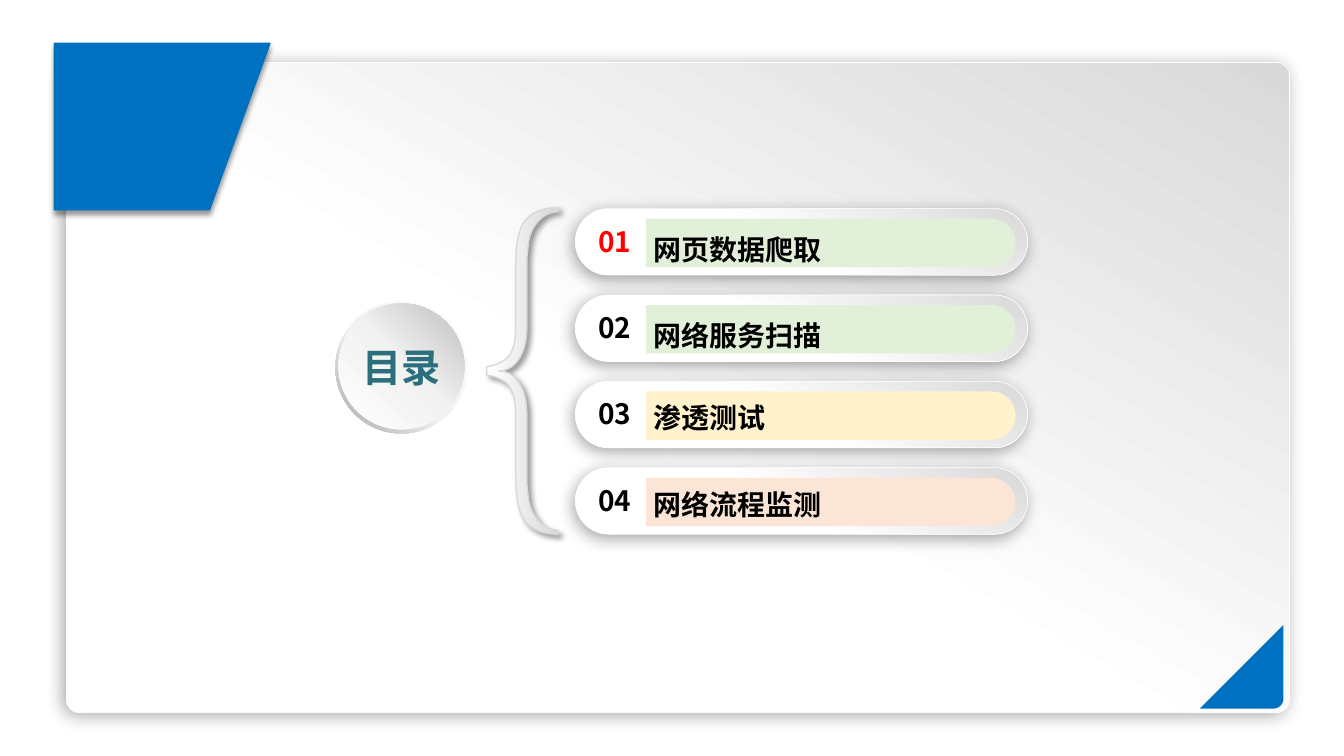
from lxml import etree
from pptx import Presentation
from pptx.dml.color import RGBColor
from pptx.enum.shapes import MSO_SHAPE
from pptx.enum.text import MSO_ANCHOR, PP_ALIGN
from pptx.oxml.ns import qn
from pptx.util import Inches, Pt

ROUNDED = MSO_SHAPE.ROUNDED_RECTANGLE
ROUND_TOP = MSO_SHAPE.ROUND_2_SAME_RECTANGLE
DONUT = MSO_SHAPE.DONUT
OVAL = MSO_SHAPE.OVAL
MIDDLE = MSO_ANCHOR.MIDDLE
LEFT = PP_ALIGN.LEFT
CENTER = PP_ALIGN.CENTER

WHITE = RGBColor(0xFF, 0xFF, 0xFF)
BLACK = RGBColor(0x00, 0x00, 0x00)
RED = RGBColor(0xFF, 0x00, 0x00)
BLUE = RGBColor(0x00, 0x70, 0xC0)
TEAL = RGBColor(0x2B, 0x6F, 0x7D)
PALE_GREEN = RGBColor(0xE2, 0xF0, 0xD9)
PALE_YELLOW = RGBColor(0xFF, 0xF2, 0xCC)
PALE_ORANGE = RGBColor(0xFB, 0xE5, 0xD6)
OFF_WHITE = RGBColor(0xF2, 0xF2, 0xF2)
LIGHT_GRAY = RGBColor(0xD9, 0xD9, 0xD9)
MID_GRAY = RGBColor(0xBF, 0xBF, 0xBF)
DARK_GRAY = RGBColor(0xA6, 0xA6, 0xA6)

FONT = "Noto Sans CJK SC"
RAISED_FILL = ((45, WHITE), (100, LIGHT_GRAY))
RAISED_SHADOW = (34, 12, 3, 135)
CURVE_STEPS = 12

ENTRIES = [
    ("01", "网页数据爬取", RED, PALE_GREEN, 0.17),
    ("02", "网络服务扫描", BLACK, PALE_GREEN, 0.17),
    ("03", "渗透测试", BLACK, PALE_YELLOW, 0.13),
    ("04", "网络流程监测", BLACK, PALE_ORANGE, 0.13),
]


def set_gradient(shape, stops, angle):
    shape.fill.gradient()
    shape.fill.gradient_angle = 360 - angle
    stop_list = next(shape.element.iter(qn("a:gsLst")))
    for stop in list(stop_list):
        stop_list.remove(stop)
    for position, color in stops:
        stop = etree.SubElement(stop_list, qn("a:gs"), pos=str(position * 1000))
        etree.SubElement(stop, qn("a:srgbClr"), val=str(color))


def set_shadow(shape, opacity, blur, distance, direction):
    effects = next(shape.element.iter(qn("a:effectLst")))
    shadow = etree.SubElement(
        effects, qn("a:outerShdw"), blurRad=str(Pt(blur)), dist=str(Pt(distance)),
        dir=str(direction * 60000), algn="ctr", rotWithShape="0")
    color = etree.SubElement(shadow, qn("a:srgbClr"), val=str(BLACK))
    etree.SubElement(color, qn("a:alpha"), val=str(opacity * 1000))


def style_shape(shape, fill=None, stops=None, angle=0, line=None, line_width=1, shadow=None):
    shape.shadow.inherit = False
    if stops:
        set_gradient(shape, stops, angle)
    else:
        shape.fill.solid()
        shape.fill.fore_color.rgb = fill
    if line is None:
        shape.line.fill.background()
    else:
        shape.line.color.rgb = line
        shape.line.width = Pt(line_width)
    if shadow:
        set_shadow(shape, *shadow)


def add_preset(slide, kind, left, top, width, height, adjustment=None, **style):
    shape = slide.shapes.add_shape(
        kind, Inches(left), Inches(top), Inches(width), Inches(height))
    if adjustment is not None:
        shape.adjustments[0] = adjustment
    style_shape(shape, **style)
    return shape


def flatten(segments):
    points = [segments[0]]
    for segment in segments[1:]:
        if len(segment) == 2:
            points.append(segment)
            continue
        controls = [points[-1], segment[:2], segment[2:4], segment[4:]]
        for step in range(1, CURVE_STEPS + 1):
            t = step / CURVE_STEPS
            weights = ((1 - t) ** 3, 3 * t * (1 - t) ** 2, 3 * t * t * (1 - t), t ** 3)
            points.append(tuple(
                sum(weight * control[axis] for weight, control in zip(weights, controls))
                for axis in (0, 1)))
    return points


def add_outline(slide, left, top, points, **style):
    corners = [(Inches(left + x), Inches(top + y)) for x, y in points]
    builder = slide.shapes.build_freeform(*corners[0], scale=1.0)
    builder.add_line_segments(corners[1:], close=True)
    style_shape(builder.convert_to_shape(), **style)


def write_text(shape, text, size, color, align=LEFT, margins=(0.1, 0.05), wrap=False):
    frame = shape.text_frame
    frame.word_wrap = wrap
    frame.vertical_anchor = MIDDLE
    frame.margin_left = frame.margin_right = Inches(margins[0])
    frame.margin_top = frame.margin_bottom = Inches(margins[1])
    paragraph = frame.paragraphs[0]
    paragraph.alignment = align
    run = paragraph.add_run()
    run.text = text
    run.font.size = Pt(size)
    run.font.bold = True
    run.font.name = FONT
    run.font.color.rgb = color
    etree.SubElement(run.font._element, qn("a:ea"), typeface=FONT)


def add_label(slide, text, left, top, width, height, color):
    box = slide.shapes.add_textbox(
        Inches(left), Inches(top), Inches(width), Inches(height))
    write_text(box, text, 20, color)


def draw_backdrop(slide, left, top, width, height):
    add_preset(slide, ROUNDED, left, top, width, height, 0.02, stops=RAISED_FILL,
               angle=300, line=WHITE, line_width=0.5, shadow=RAISED_SHADOW)
    corner = [(0.83, 0), (0.83, 0.73), (0.83, 0.78, 0.79, 0.83, 0.73, 0.83), (0, 0.83)]
    add_outline(slide, left + width - 0.89, top + height - 0.87, flatten(corner), fill=BLUE)
    flag = [(0, 0), (2.14, 0), (1.54, 1.65), (0, 1.65)]
    add_outline(slide, left - 0.12, top - 0.19, flag, fill=BLUE, line=BLUE,
                shadow=(40, 4, 3, 90))


def draw_entries(slide, left, top, width, height):
    bar_height, band_height, band_width = 0.66, 0.48, 3.67
    pitch = (height - bar_height) / (len(ENTRIES) - 1)
    for index, (number, label, color, band_color, label_offset) in enumerate(ENTRIES):
        row = top + index * pitch
        add_preset(slide, ROUNDED, left, row, width, bar_height, 0.5, stops=RAISED_FILL,
                   angle=300, line=WHITE, line_width=0.5, shadow=RAISED_SHADOW)
        band_center = left + 0.7 + band_width / 2
        band_middle = row + 0.1 + band_height / 2
        band = add_preset(slide, ROUND_TOP, band_center - band_height / 2,
                          band_middle - band_width / 2, band_height, band_width, 0.5,
                          fill=band_color)
        band.rotation = 90
        add_label(slide, number, left + 0.13, row + 0.1, 0.55, 0.44, color)
        add_label(slide, label, left + 0.68, row + label_offset, 1.87, 0.46, BLACK)


def draw_title_disc(slide, left, top, size):
    add_preset(slide, DONUT, left, top, size, size, 0.05, angle=135,
               stops=((0, WHITE), (55, OFF_WHITE), (100, DARK_GRAY)))
    add_preset(slide, OVAL, left + 0.03, top + 0.02, size - 0.06, size - 0.06, angle=315,
               stops=((0, WHITE), (51, OFF_WHITE), (100, MID_GRAY)))
    title = slide.shapes.title
    title.left, title.top = Inches(left - 0.03), Inches(top + 0.41)
    title.width, title.height = Inches(1.38), Inches(0.47)
    write_text(title, "目录", 28, TEAL, align=CENTER, margins=(0, 0), wrap=True)
    slide.shapes.element.append(title.element)


def draw_brace(slide, left, top, height):
    upper_half = flatten([
        (0, 1.58), (0.11, 1.56, 0.19, 1.52, 0.23, 1.46),
        (0.27, 1.4, 0.29, 1.31, 0.29, 1.17), (0.29, 0.56),
        (0.29, 0.35, 0.32, 0.2, 0.39, 0.12), (0.46, 0.04, 0.57, 0, 0.71, 0),
        (0.71, 0.04), (0.55, 0.04, 0.42, 0.2, 0.41, 0.4), (0.4, 0.5), (0.4, 1.2),
        (0.4, 1.39, 0.32, 1.62, 0.12, 1.62),
    ])
    lower_half = [(x, height - y) for x, y in reversed(upper_half)]
    add_outline(slide, left, top, upper_half + lower_half, angle=360,
                stops=((0, WHITE), (100, LIGHT_GRAY)), line=LIGHT_GRAY,
                shadow=(40, 4, 3, 45))


def main():
    presentation = Presentation()
    presentation.slide_width = Inches(13.34)
    presentation.slide_height = Inches(7.5)
    slide = presentation.slides.add_slide(presentation.slide_layouts[5])
    draw_backdrop(slide, 0.66, 0.62, 12.14, 6.45)
    draw_entries(slide, 5.71, 2.07, 4.49, 3.23)
    draw_title_disc(slide, 3.33, 2.99, 1.31)
    draw_brace(slide, 4.83, 2.06, 3.24)
    presentation.save("out.pptx")


if __name__ == "__main__":
    main()
